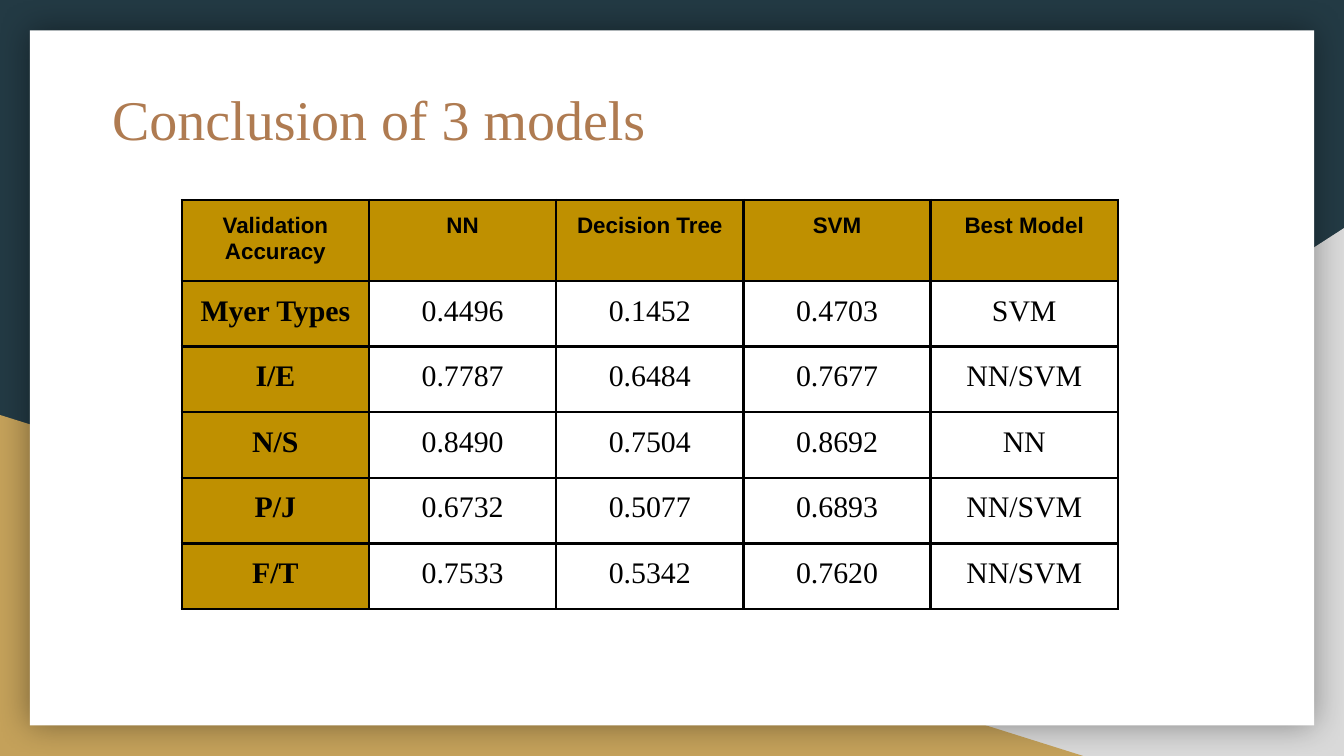
import pptx
import pptx.dml.color
import pptx.enum.shapes
import pptx.enum.text
import pptx.oxml
import pptx.oxml.ns
import pptx.util

Pt = pptx.util.Pt
SHAPE = pptx.enum.shapes.MSO_SHAPE

COLORS = {
    "navy": "233A44",
    "grey": "D9D9D9",
    "sand": "C4A15A",
    "white": "FFFFFF",
    "black": "000000",
    "title": "AF7B51",
    "header": "BF9000",
}
SERIF, SANS = "Times New Roman", "Arial"
INSET = 7.2

RESULTS = [
    ["Validation\nAccuracy", "NN", "Decision Tree", "SVM", "Best Model"],
    ["Myer Types", "0.4496", "0.1452", "0.4703", "SVM"],
    ["I/E", "0.7787", "0.6484", "0.7677", "NN/SVM"],
    ["N/S", "0.8490", "0.7504", "0.8692", "NN"],
    ["P/J", "0.6732", "0.5077", "0.6893", "NN/SVM"],
    ["F/T", "0.7533", "0.5342", "0.7620", "NN/SVM"],
]


def rgb(name):
    return pptx.dml.color.RGBColor.from_string(COLORS[name])


def drawing_xml(inner):
    namespace = pptx.oxml.ns.nsdecls("a")
    return pptx.oxml.parse_xml(inner.replace(">", f" {namespace}>", 1))


def add_panel(slide, kind, left, top, width, height, color):
    panel = slide.shapes.add_shape(kind, Pt(left), Pt(top), Pt(width), Pt(height))
    panel.shadow.inherit = False
    panel.fill.solid()
    panel.fill.fore_color.rgb = rgb(color)
    panel.line.fill.background()
    return panel


def add_glow_shadow(panel):
    """Give the panel a soft shadow on all sides."""
    effects = panel._element.spPr.find(pptx.oxml.ns.qn("a:effectLst"))
    effects.append(drawing_xml(
        f'<a:outerShdw blurRad="{Pt(18)}" dist="0" dir="0" algn="ctr" rotWithShape="0">'
        f'<a:srgbClr val="{COLORS["black"]}"><a:alpha val="40000"/></a:srgbClr>'
        '</a:outerShdw>'))


def add_background(slide):
    slide.background.fill.solid()
    slide.background.fill.fore_color.rgb = rgb("navy")
    right_corner = add_panel(slide, SHAPE.RIGHT_TRIANGLE, 282.2, 122.2, 437.8, 282.8, "grey")
    right_corner._element.spPr.find(pptx.oxml.ns.qn("a:xfrm")).set("flipH", "1")
    add_panel(slide, SHAPE.RIGHT_TRIANGLE, 0, 222.3, 580.3, 182.7, "sand")
    page = add_panel(slide, SHAPE.RECTANGLE, 16, 16.3, 688, 372.4, "white")
    add_glow_shadow(page)


def add_run(paragraph, text, size, font, color, bold=False):
    run = paragraph.add_run()
    run.text = text
    run.font.size = Pt(size)
    run.font.name = font
    run.font.bold = bold
    run.font.color.rgb = rgb(color)


def set_insets(holder):
    """Set equal margins on a text frame or table cell."""
    holder.margin_left = holder.margin_right = Pt(INSET)
    holder.margin_top = holder.margin_bottom = Pt(INSET)


def add_title(slide, text):
    frame = slide.shapes.add_textbox(Pt(53), Pt(37.4), Pt(337), Pt(52)).text_frame
    frame.word_wrap = True
    frame.vertical_anchor = pptx.enum.text.MSO_ANCHOR.MIDDLE
    set_insets(frame)
    add_run(frame.paragraphs[0], text, 30, SERIF, "title")


def add_borders(cell):
    properties = cell._tc.get_or_add_tcPr()
    for position, side in enumerate(("lnL", "lnR", "lnT", "lnB")):
        properties.insert(position, drawing_xml(
            f'<a:{side} w="{Pt(1.5)}"><a:solidFill>'
            f'<a:srgbClr val="{COLORS["black"]}"/></a:solidFill></a:{side}>'))


def fill_cell(cell, text, is_header, is_label):
    set_insets(cell)
    if is_header or is_label:
        cell.fill.solid()
        cell.fill.fore_color.rgb = rgb("header")
    else:
        cell.fill.background()
    size, font = (12, SANS) if is_header else (16, SERIF)
    frame = cell.text_frame
    for index, line in enumerate(text.split("\n")):
        paragraph = frame.add_paragraph() if index else frame.paragraphs[0]
        paragraph.alignment = pptx.enum.text.PP_ALIGN.CENTER
        add_run(paragraph, line, size, font, "black", is_header or is_label)
    add_borders(cell)


def add_results_table(slide, rows):
    column_width, header_height, row_height = 100.3, 43.4, 35.14
    row_count, column_count = len(rows), len(rows[0])
    table = slide.shapes.add_table(
        row_count, column_count, Pt(97.4), Pt(107.2), Pt(column_width * column_count),
        Pt(header_height + row_height * (row_count - 1))).table
    for column in table.columns:
        column.width = Pt(column_width)
    for r, values in enumerate(rows):
        table.rows[r].height = Pt(row_height if r else header_height)
        for c, value in enumerate(values):
            fill_cell(table.cell(r, c), value, r == 0, c == 0)


def main():
    deck = pptx.Presentation()
    deck.slide_width, deck.slide_height = Pt(720), Pt(405)
    slide = deck.slides.add_slide(deck.slide_layouts[6])
    add_background(slide)
    add_title(slide, "Conclusion of 3 models")
    add_results_table(slide, RESULTS)
    deck.save("out.pptx")


if __name__ == "__main__":
    main()
